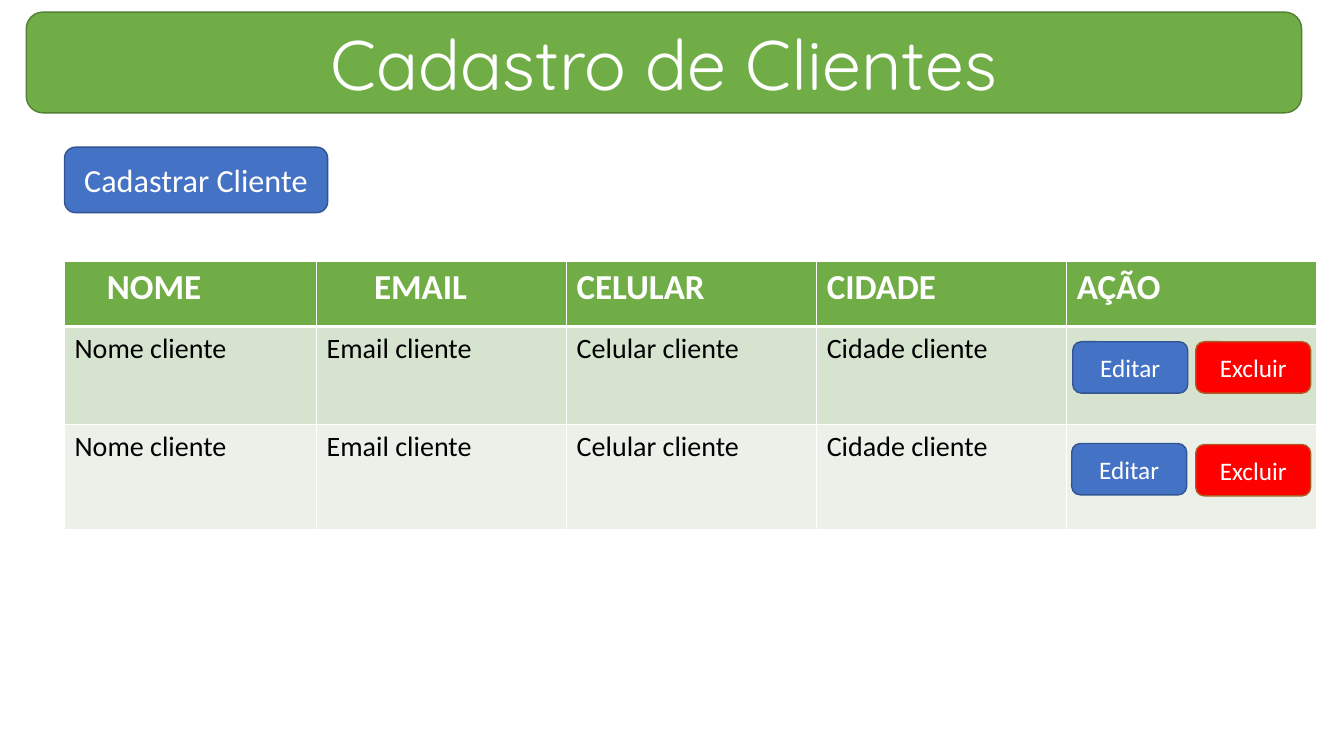
from dataclasses import dataclass

from lxml import etree
from pptx import Presentation
from pptx import util as u
from pptx.dml.color import RGBColor
from pptx.enum import shapes, text
from pptx.oxml import ns


@dataclass(frozen=True)
class Theme:
    white: str = "FFFFFF"
    black: str = "000000"
    green: tuple = ("70AD47", "538035")
    blue: tuple = ("4472C4", "325491")
    red: tuple = ("FF0000", "AF5C24")
    bands: tuple = ("D5E3CF", "EBF1E9")
    body_font: str = "Calibri"
    title_font: str = "Quicksand"
    title_size: int = 50
    header_size: int = 25
    button_size: int = 23
    cell_size: int = 20
    action_size: int = 18
    rule: int = 1
    header_rule: int = 3


THEME = Theme()
HEADERS = ("NOME", "EMAIL", "CELULAR", "CIDADE", "AÇÃO")
HEADER_INDENTS = (0.42, 0.57, 0.1, 0.1, 0.1)
CLIENT = ("Nome cliente", "Email cliente", "Celular cliente", "Cidade cliente", "")
COLUMN_WIDTHS = (2.5, 2.48, 2.48, 2.48, 2.48)
ROW_HEIGHTS = (0.65, 0.97, 1.04)


def add_span(para, words, size, color, font=THEME.body_font, bold=False):
    span = para.add_run()
    span.text = words
    span.font.name = font
    span.font.size = u.Pt(size)
    span.font.bold = bold
    span.font.color.rgb = RGBColor.from_string(color)


def add_button(page, words, bounds, colors, size, font=THEME.body_font):
    button = page.shapes.add_shape(
        shapes.MSO_SHAPE.ROUNDED_RECTANGLE, *(u.Inches(value) for value in bounds)
    )
    fill, line = colors
    button.shadow.inherit = False
    button.fill.solid()
    button.fill.fore_color.rgb = RGBColor.from_string(fill)
    button.line.color.rgb = RGBColor.from_string(line)
    button.line.width = u.Pt(THEME.rule)
    frame = button.text_frame
    frame.word_wrap = True
    frame.vertical_anchor = text.MSO_ANCHOR.MIDDLE
    para = frame.paragraphs[0]
    para.alignment = text.PP_ALIGN.CENTER
    add_span(para, words, size, THEME.white, font)


def set_borders(cell, top, bottom):
    properties = cell._tc.get_or_add_tcPr()
    widths = {"lnL": THEME.rule, "lnR": THEME.rule, "lnT": top, "lnB": bottom}
    for index, (side, width) in enumerate(widths.items()):
        line = etree.Element(ns.qn(f"a:{side}"), w=str(u.Pt(width)))
        fill = etree.SubElement(line, ns.qn("a:solidFill"))
        etree.SubElement(fill, ns.qn("a:srgbClr"), val=THEME.white)
        properties.insert(index, line)


def fill_cell(cell, words, fill, size, color, bold=False):
    cell.fill.solid()
    cell.fill.fore_color.rgb = RGBColor.from_string(fill)
    if words:
        add_span(cell.text_frame.paragraphs[0], words, size, color, bold=bold)


def add_client_table(page):
    frame = page.shapes.add_table(
        len(ROW_HEIGHTS), len(HEADERS), u.Inches(0.64), u.Inches(2.59),
        u.Inches(sum(COLUMN_WIDTHS)), u.Inches(sum(ROW_HEIGHTS)),
    )
    table = frame.table
    for column, width in zip(table.columns, COLUMN_WIDTHS):
        column.width = u.Inches(width)
    for row, height in zip(table.rows, ROW_HEIGHTS):
        row.height = u.Inches(height)
    for index, (header, indent) in enumerate(zip(HEADERS, HEADER_INDENTS)):
        cell = table.cell(0, index)
        cell.margin_left = u.Inches(indent)
        fill_cell(cell, header, THEME.green[0], THEME.header_size, THEME.white, True)
        set_borders(cell, THEME.rule, THEME.header_rule)
    for row, band in enumerate(THEME.bands, start=1):
        top = THEME.header_rule if row == 1 else THEME.rule
        for index, words in enumerate(CLIENT):
            cell = table.cell(row, index)
            fill_cell(cell, words, band, THEME.cell_size, THEME.black)
            set_borders(cell, top, THEME.rule)


def add_row_actions(page, edit_left, edit_top, delete_top):
    for words, left, top, colors in (
        ("Editar", edit_left, edit_top, THEME.blue),
        ("Excluir", 11.86, delete_top, THEME.red),
    ):
        add_button(page, words, (left, top, 1.14, 0.51), colors, THEME.action_size)


def main():
    deck = Presentation()
    deck.slide_width = u.Inches(13.33)
    deck.slide_height = u.Inches(7.5)
    page = deck.slides.add_slide(deck.slide_layouts[6])
    add_button(page, "Cadastro de Clientes", (0.26, 0.12, 12.65, 1),
               THEME.green, THEME.title_size, THEME.title_font)
    add_button(page, "Cadastrar Cliente", (0.64, 1.46, 2.61, 0.65),
               THEME.blue, THEME.button_size)
    add_client_table(page)
    add_row_actions(page, 10.64, 3.39, 3.39)
    add_row_actions(page, 10.63, 4.4, 4.41)
    deck.save("out.pptx")


main()
